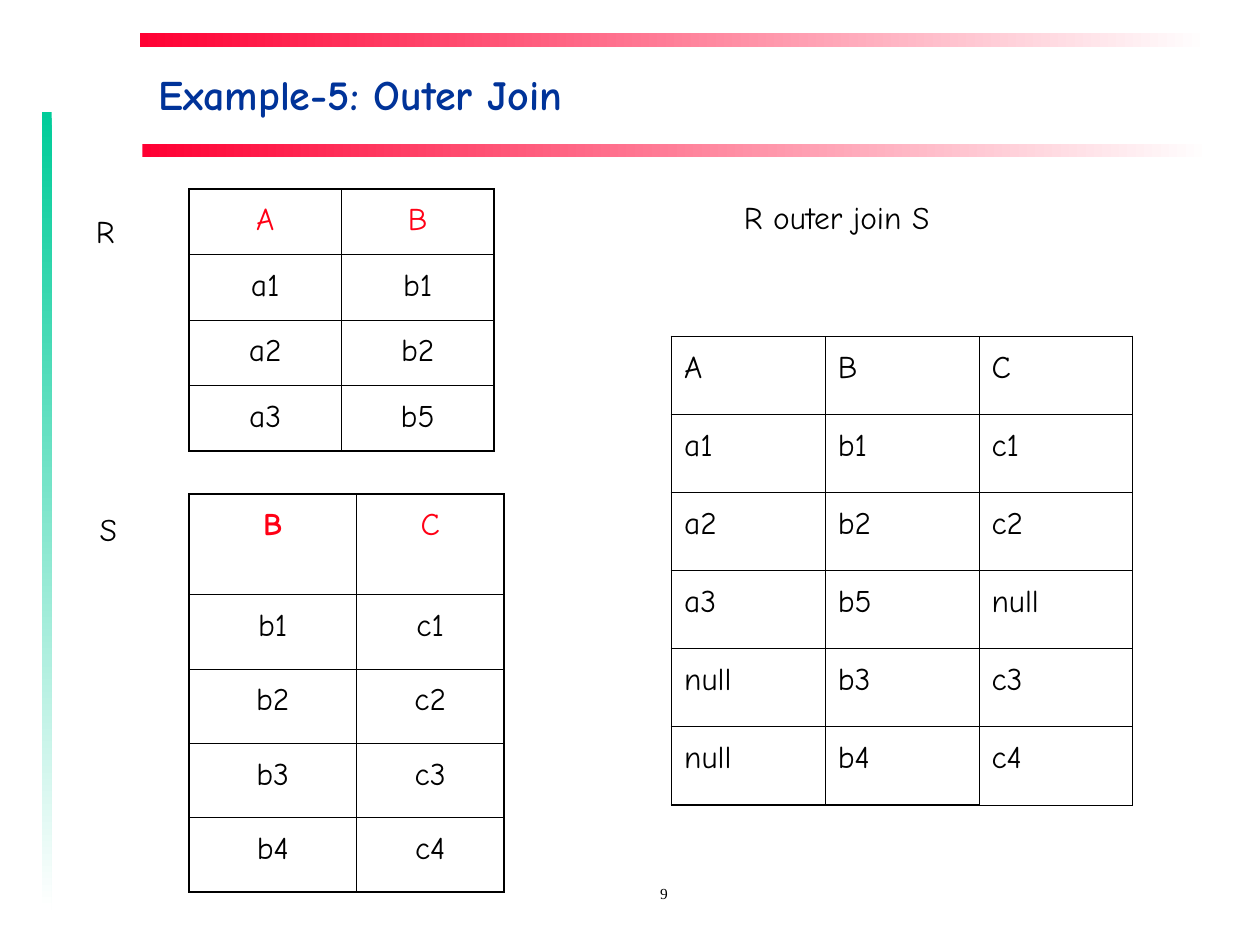
from dataclasses import dataclass

from lxml import etree
from pptx import Presentation
from pptx.dml.color import RGBColor
from pptx.enum.shapes import MSO_SHAPE
from pptx.enum.text import MSO_ANCHOR, MSO_AUTO_SIZE, PP_ALIGN
from pptx.oxml.ns import qn
from pptx.slide import Slide
from pptx.util import Inches, Pt

RECTANGLE = MSO_SHAPE.RECTANGLE
MIDDLE = MSO_ANCHOR.MIDDLE
FIT_SHAPE = MSO_AUTO_SIZE.SHAPE_TO_FIT_TEXT
LEFT, CENTER = PP_ALIGN.LEFT, PP_ALIGN.CENTER

BLACK = RGBColor(0x00, 0x00, 0x00)
WHITE = RGBColor(0xFF, 0xFF, 0xFF)
NAVY = RGBColor(0x00, 0x33, 0x99)
HEADER_RED = RGBColor(0xFF, 0x00, 0x15)
BAND_RED = RGBColor(0xFF, 0x00, 0x33)
BAND_GREEN = RGBColor(0x00, 0xCC, 0x99)

THIN, THICK = Pt(0.45), Pt(1.08)


@dataclass
class RelationSlide:
    slide: Slide
    font: str = "Comic Neue"
    number_font: str = "Times New Roman"
    size: float = 18

    def style(self, paragraph, color=BLACK, align=LEFT, size=None, font=None, bold=False):
        paragraph.alignment = align
        paragraph.font.name = font or self.font
        paragraph.font.size = Pt(size or self.size)
        paragraph.font.color.rgb = color
        paragraph.font.bold = bold

    def band(self, left, top, width, height, color, angle=0):
        band = self.slide.shapes.add_shape(
            RECTANGLE, Inches(left), Inches(top), Inches(width), Inches(height))
        band.shadow.inherit = False
        band.line.fill.background()
        band.fill.gradient()
        band.fill.gradient_angle = angle
        for stop, stop_color in zip(band.fill.gradient_stops, (color, WHITE)):
            stop.color.rgb = stop_color

    def title(self, text, left, top, width, height):
        title = self.slide.shapes.title
        title.left, title.top = Inches(left), Inches(top)
        title.width, title.height = Inches(width), Inches(height)
        title.text_frame.text = text
        title.text_frame.vertical_anchor = MIDDLE
        self.style(title.text_frame.paragraphs[0], NAVY, size=24, bold=True)

    def text_box(self, text, left, top, width, height):
        box = self.slide.shapes.add_textbox(
            Inches(left), Inches(top), Inches(width), Inches(height))
        box.text_frame.text = text
        return box.text_frame

    def label(self, text, left, top, width, height):
        frame = self.text_box(text, left, top, width, height)
        frame.word_wrap = False
        frame.auto_size = FIT_SHAPE
        self.style(frame.paragraphs[0], align=CENTER)

    def page_number(self, text, left, top, width, height):
        frame = self.text_box(text, left, top, width, height)
        frame.word_wrap = True
        paragraph = frame.paragraphs[0]
        self.style(paragraph, align=CENTER, size=8.8, font=self.number_font)
        paragraph.line_spacing = 0.8
        paragraph.space_before = Pt(8.8)

    def border(self, cell, side, width):
        line = etree.SubElement(cell._tc.get_or_add_tcPr(), qn(f"a:ln{side}"), w=str(width))
        fill = etree.SubElement(line, qn("a:solidFill"))
        etree.SubElement(fill, qn("a:srgbClr"), val=str(BLACK))

    def relation(self, rows, left, top, widths, heights, header_color=BLACK,
                 align=LEFT, bold_headers=(), thin_edges=()):
        table = self.slide.shapes.add_table(
            len(rows), len(widths), Inches(left), Inches(top),
            Inches(sum(widths)), Inches(sum(heights))).table
        table.first_row = table.horz_banding = False
        for column, width in zip(table.columns, widths):
            column.width = Inches(width)
        last_row, last_column = len(rows) - 1, len(widths) - 1
        for r, values in enumerate(rows):
            table.rows[r].height = Inches(heights[r])
            for c, value in enumerate(values):
                cell = table.cell(r, c)
                outer = {"L": c == 0, "R": c == last_column, "T": r == 0, "B": r == last_row}
                for side, is_outer in outer.items():
                    thick = is_outer and (r, c, side) not in thin_edges
                    self.border(cell, side, THICK if thick else THIN)
                cell.fill.background()
                cell.text = value
                paragraph = cell.text_frame.paragraphs[0]
                self.style(paragraph, BLACK if r else header_color, align,
                           bold=r == 0 and value in bold_headers)
                paragraph.line_spacing = 1.2
                paragraph.space_before = Pt(4.5)


def main():
    deck = Presentation()
    deck.slide_width, deck.slide_height = Inches(10), Inches(7.5)
    page = RelationSlide(deck.slides.add_slide(deck.slide_layouts[5]))

    page.band(1.11, 0.26, 8.48, 0.11, BAND_RED)
    page.band(0.33, 0.89, 0.08, 6.33, BAND_GREEN, angle=270)
    page.band(1.13, 1.14, 8.48, 0.11, BAND_RED)
    page.page_number("9", 4.23, 7, 2.08, 0.26)
    page.title("Example-5: Outer Join", 1.16, 0.38, 8.46, 0.73)

    r_rows = [("A", "B"), ("a1", "b1"), ("a2", "b2"), ("a3", "b5")]
    s_rows = [("B", "C"), ("b1", "c1"), ("b2", "c2"), ("b3", "c3"), ("b4", "c4")]
    join_rows = [("A", "B", "C"), ("a1", "b1", "c1"), ("a2", "b2", "c2"),
                 ("a3", "b5", "null"), ("null", "b3", "c3"), ("null", "b4", "c4")]

    page.relation(r_rows, 1.5, 1.5, [1.21] * 2, [0.52] * 4, HEADER_RED, CENTER)
    page.relation(s_rows, 1.5, 3.92, [1.33, 1.17], [0.8] + [0.59] * 4,
                  HEADER_RED, CENTER, bold_headers=("B",))
    page.label("R", 0.66, 1.63, 0.35, 0.4)
    page.label("S", 0.69, 4, 0.34, 0.4)
    page.relation(join_rows, 5.33, 2.67, [1.22] * 3, [0.62] * 6,
                  thin_edges={(0, 1, "T"), (5, 2, "B")})
    page.label("R outer join S", 5.8, 1.52, 1.68, 0.7)

    deck.save("out.pptx")


if __name__ == "__main__":
    main()
